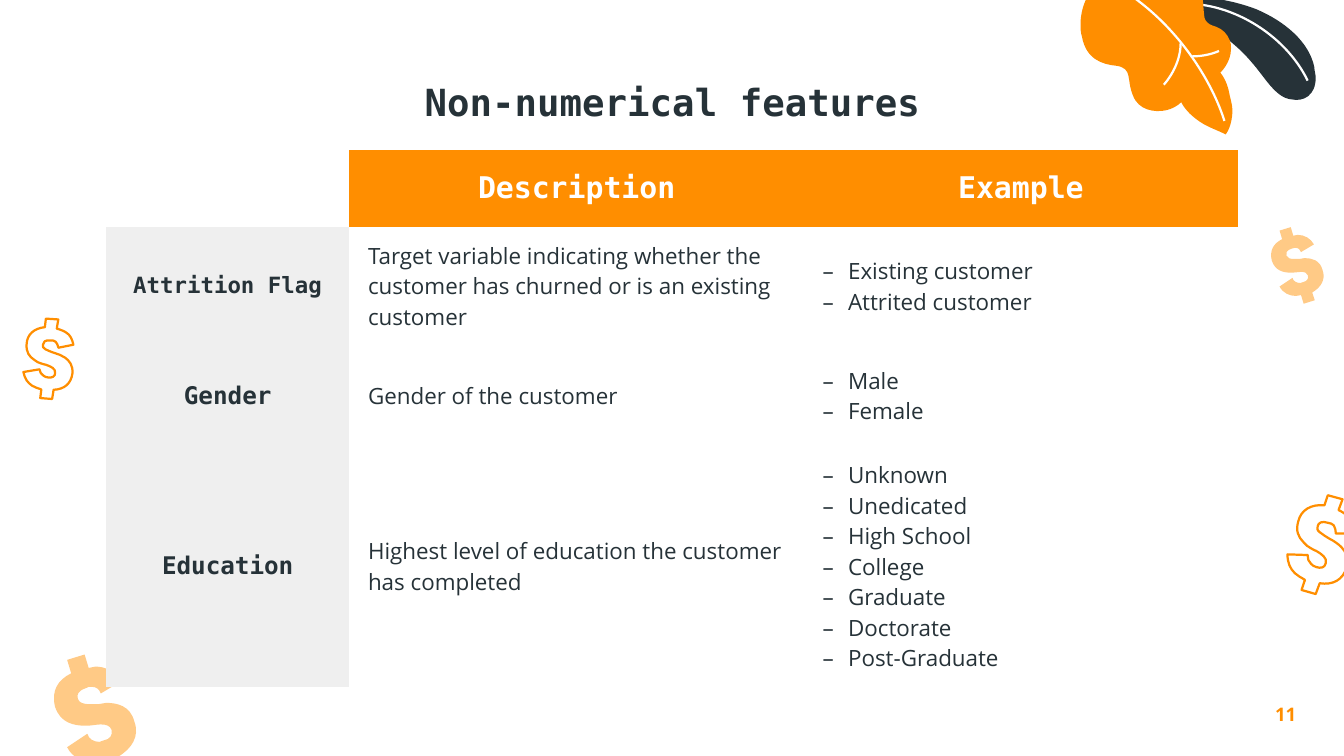
"""Build the slide on non-numerical features."""
from dataclasses import dataclass
from math import cos, radians, sin

from lxml.etree import Element, SubElement as Sub
from pptx import Presentation
from pptx.dml.color import RGBColor
from pptx.enum.text import MSO_ANCHOR as Anchor, PP_ALIGN as Align
from pptx.oxml.ns import qn
from pptx.util import Pt


@dataclass
class Theme:
    orange: str = "FF8E00"
    peach: str = "FFCA86"
    dark: str = "263238"
    gray: str = "EFEFEF"
    white: str = "FFFFFF"
    mono: str = "DejaVu Sans Mono"
    sans: str = "Open Sans"
    title: int = 20
    head: int = 16
    label: int = 13
    body: int = 12
    page: int = 10


theme = Theme()
unit = 0.72
grid = "{2D5ABB26-0587-4C30-8999-92F81FD0307C}"

LEAF = """979 58, 979 71 970 76 961 74, 949 73 941 57 931 46,
922 35 899 15 877 10, 876 -1, 894 -2, 908 -1 922 2 935 7,
956 16 974 31 978 50, 978 53 979 55 979 58"""
OAK = """917 82, 917 94 912 100 912 100, 906 97 900 95 895 92,
882 84 879 76 879 76, 876 79 872 81 868 82, 859 84 847 82 843 71,
838 59 843 51 831 49, 820 48 808 44 805 27, 804 24 804 21 804 18,
804 6 809 -2 809 -2, 809 -2 869 -24 885 -15, 888 -13 890 -11 892 -8,
896 -2 895 4 896 11, 896 14 897 16 900 18, 901 19 903 19 905 20,
910 22 913 25 915 30, 916 32 916 34 916 36, 916 47 908 54 908 54,
912 59 914 65 915 71, 916 75 917 79 917 82"""
VEINS = ["876 3, 914 0 956 25 973 60", "832 -9.5, 876 17 902 61 911 90",
         "878.5 32, 878.5 49 867 62 866 63", "907 38, 900 41 893 42 886 42"]
SOLID = """63 487, 50 491, 53 501, 43 506 38 514 41 526,
45 538 55 540 64 540, 68 540 72 539 75 539, 79 539 82 540 83 543,
84 547 82 550 77 551, 76 552 75 552 74 552, 70 552 66 550 65 546,
50 556, 54 564 62 567 69 567, 71 567 73 567 75 566, 78 576, 91 572,
88 563, 98 557 104 548 100 537, 97 525 87 523 79 523,
77 523 75 524 73 524, 71 524 69 524 67 524, 62 524 59 523 58 520,
57 517 58 514 64 512, 65 511 67 511 68 511, 72 511 74 513 75 516,
90 507, 86 500 79 496 71 496, 69 496 68 496 66 497, 63 487"""
HOLLOW = """999 371.5, 996 379.5, 999 381 1002 383 1003.5 384.5,
1007 387.5 1008 392 1008 397, 994 397, 994 394.5 993.5 393 992.5 391,
991.5 390 990 389 988 389, 983.5 387.5 981 389 980.5 391.5,
980 393 980 394.5 982 396, 984 397.5 986 399 989.5 401,
992.5 402.5 995.5 404.5 998 407, 1001.5 410.5 1004 415.5 1002 422.5,
999 431.5 992 435.5 982 434, 979 442, 968.5 439, 971 431.5,
968 429.5 965.5 428.5 963.5 426.5, 960 423 958 419 958 412.5, 973 413,
973 415.5 973.5 418 975.5 419.5, 976.5 420.5 977.5 421.5 979.5 422,
982.5 423 986 422.5 986.5 419, 987 417 986.5 415.5 985 414,
983.5 412.5 982 411.5 979.5 410, 978.5 409.5 977 409 975.5 408,
973.5 407 971.5 405.5 970 403.5, 966 399.5 964 395 966 388,
968 379.5 975.5 375 985.5 376, 988 368.5, 999 371.5"""

deck = Presentation()
deck.slide_width, deck.slide_height = Pt(720), Pt(405)
slide = deck.slides.add_slide(deck.slide_layouts[5])


def draw(path, fill=None, line=None, start=0j, end=0j, zoom=1, turn=0):
    """Draw a path of lines and curves, moved from start to end."""
    spin = zoom * complex(cos(radians(turn)), sin(radians(turn)))
    parts = []
    for part in path.split(","):
        nums = [float(n) for n in part.split()]
        dots = [end + (complex(x, y) - start) * spin
                for x, y in zip(nums[::2], nums[1::2])]
        parts.append([(Pt(d.real * unit), Pt(d.imag * unit)) for d in dots])
    ends = [dots[-1] for dots in parts]
    pen = slide.shapes.build_freeform(*ends[0], scale=1.0)
    pen.add_line_segments(ends[1:], close=ends[0] == ends[-1])
    shape = pen.convert_to_shape()
    for node, dots in zip(shape.element.xpath(".//a:lnTo"), parts[1:]):
        if len(dots) == 3:
            node.tag = qn("a:cubicBezTo")
            for spot, (x, y) in enumerate(dots[:2]):
                node.insert(spot, Element(qn("a:pt"), x=str(x - shape.left),
                                          y=str(y - shape.top)))
    shape.shadow.inherit = False
    if fill:
        shape.fill.solid()
        shape.fill.fore_color.rgb = RGBColor.from_string(fill)
    else:
        shape.fill.background()
    if line:
        shape.line.color.rgb = RGBColor.from_string(line)
        shape.line.width = Pt(1.2)
    else:
        shape.line.fill.background()


def style(para, size, color, face=theme.mono, bold=True, align=Align.CENTER):
    """Set the font and alignment of one paragraph."""
    para.alignment = align
    font = para.font
    font.name, font.size, font.bold = face, Pt(size), bold
    font.color.rgb = RGBColor.from_string(color)


draw(LEAF, theme.dark)
draw(VEINS[0], line=theme.white)
draw(OAK, theme.orange)
for vein in VEINS[1:]:
    draw(vein, line=theme.white)
draw(HOLLOW, None, theme.orange, 984 + 406j, 37 + 267.5j, 0.81, -11.4)
draw(SOLID, theme.peach, None, 71 + 531.5j, 965.5 + 197.5j, 0.64)
draw(HOLLOW, line=theme.orange)
draw(SOLID, theme.peach)

title = slide.shapes.title
title.left, title.top, title.width, title.height = Pt(56.7), Pt(35), Pt(607), Pt(45)
title.text = "Non-numerical features"
box = title.text_frame
box.vertical_anchor = Anchor.TOP
box.margin_top = box.margin_bottom = Pt(7.2)
style(box.paragraphs[0], theme.title, theme.dark)

rows = [
    ("", "Description", "Example"),
    ("Attrition Flag",
     "Target variable indicating whether the customer has churned or is an existing customer",
     "Existing customer\nAttrited customer"),
    ("Gender", "Gender of the customer", "Male\nFemale"),
    ("Education", "Highest level of education the customer has completed",
     "Unknown\nUnedicated\nHigh School\nCollege\nGraduate\nDoctorate\nPost-Graduate"),
]
wide, tall = (130.5, 243.5, 232.5), (41.3, 63, 54, 129)
frame = slide.shapes.add_table(4, 3, Pt(56.7), Pt(80.3), Pt(sum(wide)), Pt(sum(tall)))
frame.element.xpath(".//a:tableStyleId")[0].text = grid
table = frame.table
table.first_row = table.horz_banding = False
for col, size in zip(table.columns, wide):
    col.width = Pt(size)
for row, size in zip(table.rows, tall):
    row.height = Pt(size)

for r, row in enumerate(rows):
    for c, text in enumerate(row):
        cell = table.cell(r, c)
        cell.vertical_anchor = Anchor.MIDDLE
        plain = r > 0 and c > 0
        cell.margin_left = cell.margin_right = Pt(10 if plain else 7.2)
        cell.margin_top = cell.margin_bottom = Pt(7.2)
        if plain or r == c:
            cell.fill.background()
        else:
            cell.fill.solid()
            tint = theme.gray if r else theme.orange
            cell.fill.fore_color.rgb = RGBColor.from_string(tint)
        cell.text = text
        for para in cell.text_frame.paragraphs:
            if plain and c == 2:
                props = para._p.get_or_add_pPr()
                props.set("marL", str(Pt(13.7)))
                props.set("indent", str(-Pt(13.7)))
                tone = Sub(props, qn("a:buClr"))
                Sub(tone, qn("a:srgbClr"), val=theme.dark)
                Sub(props, qn("a:buFont"), typeface=theme.sans)
                Sub(props, qn("a:buChar"), char="–")
            if plain:
                style(para, theme.body, theme.dark, theme.sans, False, Align.LEFT)
            elif r:
                style(para, theme.body if r == 1 else theme.label, theme.dark)
            else:
                style(para, theme.head, theme.white)

page = slide.shapes.add_textbox(Pt(667.3), Pt(367), Pt(43), Pt(31)).text_frame
page.word_wrap = True
page.vertical_anchor = Anchor.MIDDLE
page.text = "11"
style(page.paragraphs[0], theme.page, theme.orange, theme.sans)

deck.save("out.pptx")
